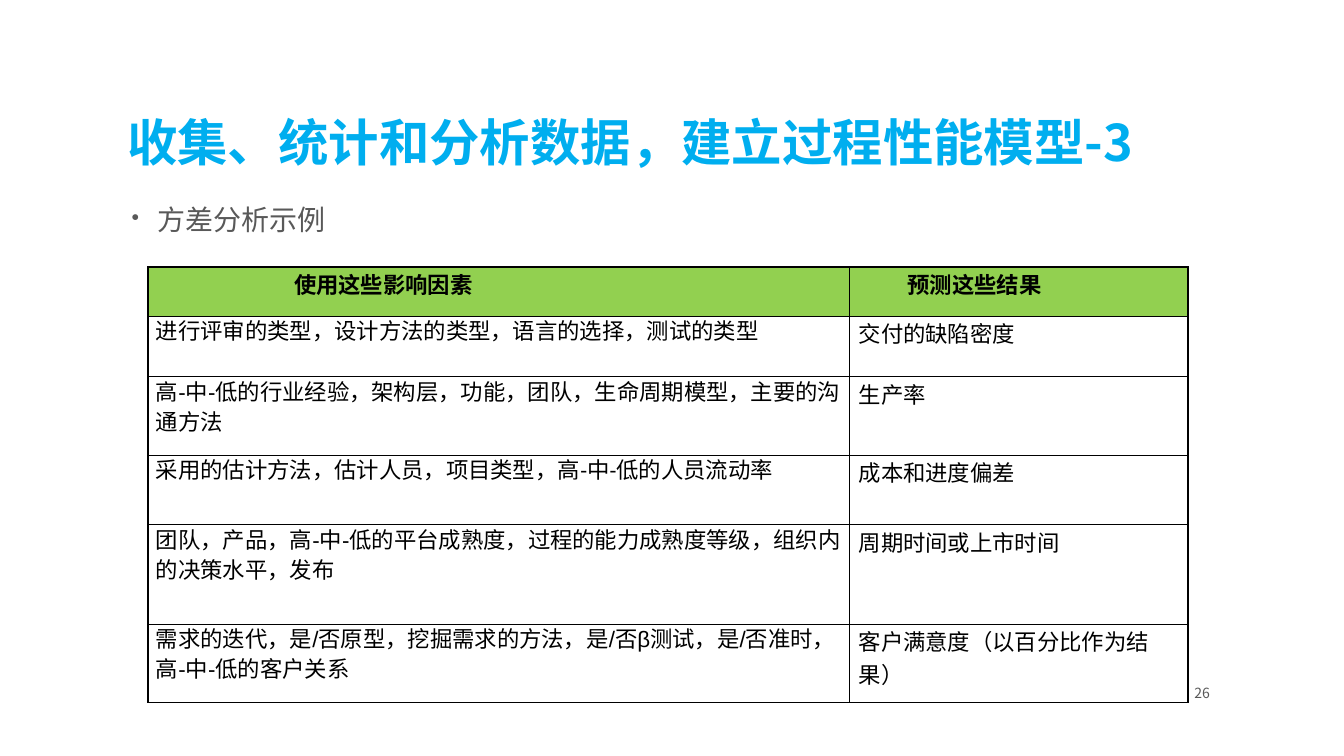
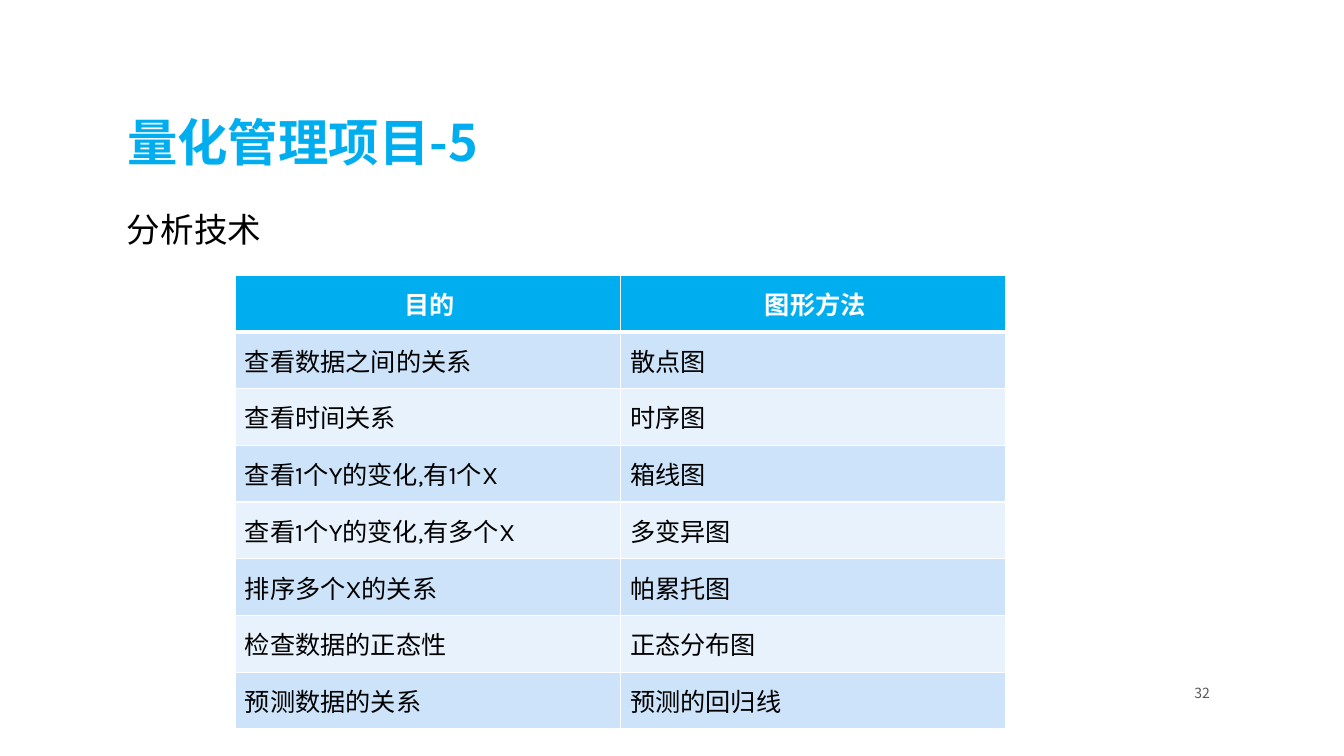
"""Build two slides on process models and project analysis, each with a table."""
from dataclasses import dataclass
from typing import Optional

from lxml.etree import SubElement
from pptx import Presentation
from pptx.dml.color import RGBColor as Rgb
from pptx.enum.text import MSO_ANCHOR as Anchor, MSO_AUTO_SIZE as Fit, PP_ALIGN as Align
from pptx.oxml import parse_xml
from pptx.oxml.ns import nsdecls, qn
from pptx.util import Cm, Pt

COLORS = {
    "title": "00AEEF", "gray": "595959", "black": "000000", "white": "FFFFFF",
    "green": "92D050", "blue": "CCE3F9", "pale": "E7F2FC",
}
SANS = "Noto Sans CJK SC"
LEFT, WIDTH = 2.95, 27.76


@dataclass(frozen=True)
class Style:
    size: float
    color: str = "black"
    face: str = SANS
    bold: bool = False
    align: Align = Align.LEFT
    lead: Optional[float] = None


@dataclass(frozen=True)
class Box:
    left: float
    top: float
    width: float
    height: float


@dataclass(frozen=True)
class Cell:
    text: str
    style: Style
    fill: str
    indent: float = 0.25
    pad: float = 0.13
    anchor: Anchor = Anchor.MIDDLE
    under: float = 1


@dataclass(frozen=True)
class Grid:
    left: float
    top: float
    cols: list[float]
    rows: list[float]
    cells: list[list[Cell]]
    line: str


TITLE = Style(36, "title", bold=True, lead=0.8)
NOTE = Style(20, "gray", lead=0.9)
LABEL = Style(24, face="Karla")
PAGE = Style(10, "gray", align=Align.RIGHT)

FACTORS = [
    ("进行评审的类型，设计方法的类型，语言的选择，测试的类型", "交付的缺陷密度", 1.52),
    ("高-中-低的行业经验，架构层，功能，团队，生命周期模型，主要的沟通方法", "生产率", 1.98),
    ("采用的估计方法，估计人员，项目类型，高-中-低的人员流动率", "成本和进度偏差", 1.75),
    ("团队，产品，高-中-低的平台成熟度，过程的能力成熟度等级，组织内的决策水平，发布",
     "周期时间或上市时间", 2.51),
    ("需求的迭代，是/否原型，挖掘需求的方法，是/否β测试，是/否准时，高-中-低的客户关系",
     "客户满意度（以百分比作为结果）", 1.98),
]
METHODS = [
    ("查看数据之间的关系", "散点图"),
    ("查看时间关系", "时序图"),
    ("查看1个Y的变化,有1个X", "箱线图"),
    ("查看1个Y的变化,有多个X", "多变异图"),
    ("排序多个X的关系", "帕累托图"),
    ("检查数据的正态性", "正态分布图"),
    ("预测数据的关系", "预测的回归线"),
]


def write(frame, text: str, style: Style):
    frame.text = text
    para = frame.paragraphs[0]
    para.alignment = style.align
    if style.lead:
        para.line_spacing = Pt(style.lead) if style.lead > 3 else style.lead
    font = para.font
    font.name, font.size, font.bold = style.face, Pt(style.size), style.bold
    font.color.rgb = Rgb.from_string(COLORS[style.color])
    return para


def add_text(slide, box: Box, text: str, style: Style,
             anchor: Anchor = Anchor.TOP, wrap: bool = True):
    shape = slide.shapes.add_textbox(Cm(box.left), Cm(box.top), Cm(box.width), Cm(box.height))
    frame = shape.text_frame
    frame.word_wrap, frame.vertical_anchor = wrap, anchor
    frame.auto_size = Fit.NONE if wrap else Fit.SHAPE_TO_FIT_TEXT
    return write(frame, text, style)


def add_bullet(para) -> None:
    props = para._p.get_or_add_pPr()
    props.set("marL", str(Cm(0.76)))
    props.set("indent", str(Cm(-0.64)))
    marks = [
        f'<a:buClr {nsdecls("a")}><a:srgbClr val="{COLORS["gray"]}"/></a:buClr>',
        f'<a:buSzPct {nsdecls("a")} val="80000"/>',
        f'<a:buChar {nsdecls("a")} char="•"/>',
    ]
    base = props.find(qn("a:defRPr"))
    for mark in marks:
        base.addprevious(parse_xml(mark))


def add_edges(cell, color: str, under: float) -> None:
    props = cell._tc.get_or_add_tcPr()
    for spot, side in enumerate("LRTB"):
        width = under if side == "B" else 1
        edge = SubElement(props, qn(f"a:ln{side}"), w=str(Pt(width)))
        fill = SubElement(edge, qn("a:solidFill"))
        SubElement(fill, qn("a:srgbClr"), val=COLORS[color])
        props.insert(spot, edge)


def fill_cell(cell, data: Cell, line: str) -> None:
    cell.margin_left = Cm(data.indent)
    cell.margin_right = cell.margin_top = cell.margin_bottom = Cm(data.pad)
    cell.vertical_anchor = data.anchor
    cell.fill.solid()
    cell.fill.fore_color.rgb = Rgb.from_string(COLORS[data.fill])
    write(cell.text_frame, data.text, data.style)
    add_edges(cell, line, data.under)


def add_grid(slide, grid: Grid) -> None:
    table = slide.shapes.add_table(
        len(grid.rows), len(grid.cols), Cm(grid.left), Cm(grid.top),
        Cm(sum(grid.cols)), Cm(sum(grid.rows))).table
    table.horz_banding = False
    for col, width in zip(table.columns, grid.cols):
        col.width = Cm(width)
    for row, height, cells in zip(table.rows, grid.rows, grid.cells):
        row.height = Cm(height)
        for cell, data in zip(row.cells, cells):
            fill_cell(cell, data, grid.line)


def add_slide(deck, title: str, page: str):
    slide = deck.slides.add_slide(deck.slide_layouts[5])
    head = slide.shapes.title
    head.left, head.top, head.width, head.height = Cm(LEFT), Cm(1.47), Cm(WIDTH), Cm(2.97)
    frame = head.text_frame
    frame.vertical_anchor, frame.auto_size = Anchor.BOTTOM, Fit.NONE
    write(frame, title, TITLE)
    add_text(slide, Box(27.36, 17.09, 3.38, 0.76), page, PAGE, Anchor.MIDDLE)
    return slide


def factor_grid() -> Grid:
    def cell(text: str, indent: float, lead: float, face: str = "Arial",
             top: bool = False) -> Cell:
        style = Style(16, face=face, bold=top, lead=lead)
        return Cell(text, style, "green" if top else "white", indent, 0, Anchor.TOP)

    cells = [[cell("使用这些影响因素", 3.68, 23.6, top=True),
              cell("预测这些结果", 1.46, 23.6, top=True)]]
    for cause, result, _ in FACTORS:
        face = "Calibri" if cause.startswith("采用") else "Arial"
        cells.append([cell(cause, 0.2, 21.5, face), cell(result, 0.23, 23.6)])
    rows = [1.24] + [height for *_, height in FACTORS]
    return Grid(3.73, 6.73, [17.68, 8.53], rows, cells, "black")


def method_grid() -> Grid:
    head = Style(18, "white", "Karla", True, Align.CENTER)
    body = Style(18, face="Karla")
    cells = [[Cell(text, head, "title", under=3) for text in ("目的", "图形方法")]]
    for num, pair in enumerate(METHODS):
        fill = "pale" if num % 2 else "blue"
        cells.append([Cell(text, body, fill) for text in pair])
    return Grid(5.92, 6.93, [9.71] * 2, [1.43] * len(cells), cells, "white")


def main() -> None:
    deck = Presentation()
    deck.slide_width, deck.slide_height = Cm(33.87), Cm(19.05)

    model = add_slide(deck, "收集、统计和分析数据，建立过程性能模型-3", "26")
    add_bullet(add_text(model, Box(LEFT, 5.08, WIDTH, 11.63), "方差分析示例", NOTE))
    add_grid(model, factor_grid())

    project = add_slide(deck, "量化管理项目-5", "32")
    add_grid(project, method_grid())
    add_text(project, Box(LEFT, 5.13, 3.94, 1.27), "分析技术", LABEL, wrap=False)

    deck.save("out.pptx")


if __name__ == "__main__":
    main()
